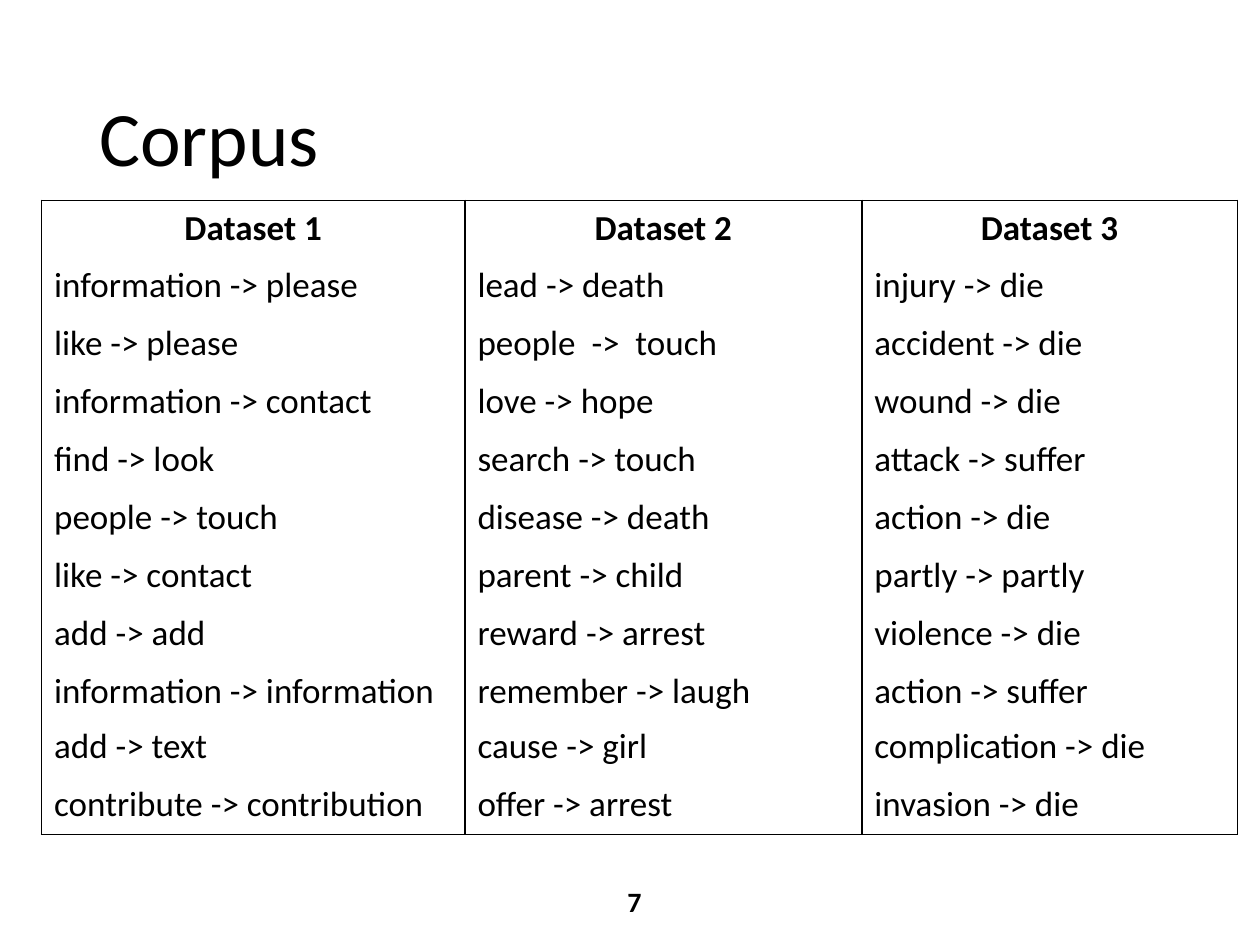
"""Build the Corpus slide: a table of word pairs in three datasets."""
from lxml import etree
from pptx import Presentation
from pptx.dml.color import RGBColor
from pptx.enum.text import MSO_ANCHOR, PP_ALIGN
from pptx.oxml.ns import qn
from pptx.util import Inches, Pt

LEFT, MID, RIGHT = PP_ALIGN.LEFT, PP_ALIGN.CENTER, PP_ALIGN.RIGHT
CENTRE = MSO_ANCHOR.MIDDLE
BLACK = RGBColor(0, 0, 0)
FONT = "Calibri"

TITLE = "Corpus"
PAGE = "7"
ROWS = [
    ("Dataset 1", "Dataset 2", "Dataset 3"),
    ("information -> please", "lead -> death", "injury -> die"),
    ("like -> please", "people  ->  touch", "accident -> die"),
    ("information -> contact", "love -> hope", "wound -> die"),
    ("find -> look", "search -> touch", "attack -> suffer"),
    ("people -> touch", "disease -> death", "action -> die"),
    ("like -> contact", "parent -> child", "partly -> partly"),
    ("add -> add", "reward -> arrest", "violence -> die"),
    ("information -> information", "remember -> laugh", "action -> suffer"),
    ("add -> text", "cause -> girl", "complication -> die"),
    ("contribute -> contribution", "offer -> arrest", "invasion -> die"),
]
WIDTHS = (3.36, 3.15, 2.98)
TALL, SHORT = 0.46, 0.41
SHORT_ROW = 8


def write(frame, text, size=20, bold=False, align=LEFT, space=1.0):
    para = frame.paragraphs[0]
    para.alignment, para.line_spacing = align, space
    run = para.add_run()
    run.text = text
    font = run.font
    font.name, font.size, font.bold = FONT, Pt(size), bold
    font.color.rgb = BLACK


def add_label(slide, text, place, **style):
    box = slide.shapes.add_textbox(*map(Inches, place))
    frame = box.text_frame
    frame.word_wrap = True
    frame.vertical_anchor = CENTRE
    write(frame, text, **style)


def set_edges(cell, shown):
    props = cell._tc.get_or_add_tcPr()
    for side in "LRTB":
        line = etree.SubElement(props, qn(f"a:ln{side}"), w=str(Pt(1)))
        if side in shown:
            fill = etree.SubElement(line, qn("a:solidFill"))
            etree.SubElement(fill, qn("a:srgbClr"), val=str(BLACK))
        else:
            etree.SubElement(line, qn("a:noFill"))


def add_pairs(slide):
    heights = [SHORT if r == SHORT_ROW else TALL for r in range(len(ROWS))]
    size = map(Inches, (0.33, 1.59, sum(WIDTHS), sum(heights)))
    table = slide.shapes.add_table(len(ROWS), len(WIDTHS), *size).table
    table.first_row = table.horz_banding = False
    for col, width in zip(table.columns, WIDTHS):
        col.width = Inches(width)
    for r, (row, height) in enumerate(zip(ROWS, heights)):
        table.rows[r].height = Inches(height)
        head, last = r == 0, r == len(ROWS) - 1
        for c, text in enumerate(row):
            cell = table.cell(r, c)
            set_edges(cell, "LR" + "T" * head + "B" * last)
            cell.fill.background()
            write(cell.text_frame, text, bold=head, align=MID if head else LEFT)


def main():
    deck = Presentation()
    deck.slide_width, deck.slide_height = Inches(10), Inches(7.5)
    slide = deck.slides.add_slide(deck.slide_layouts[6])
    add_label(slide, TITLE, (0.69, 0.4, 8.62, 1.45), size=44, space=0.9)
    add_pairs(slide)
    add_label(slide, PAGE, (2.94, 6.95, 2.25, 0.4), size=16, bold=True, align=RIGHT)
    deck.save("out.pptx")


if __name__ == "__main__":
    main()
